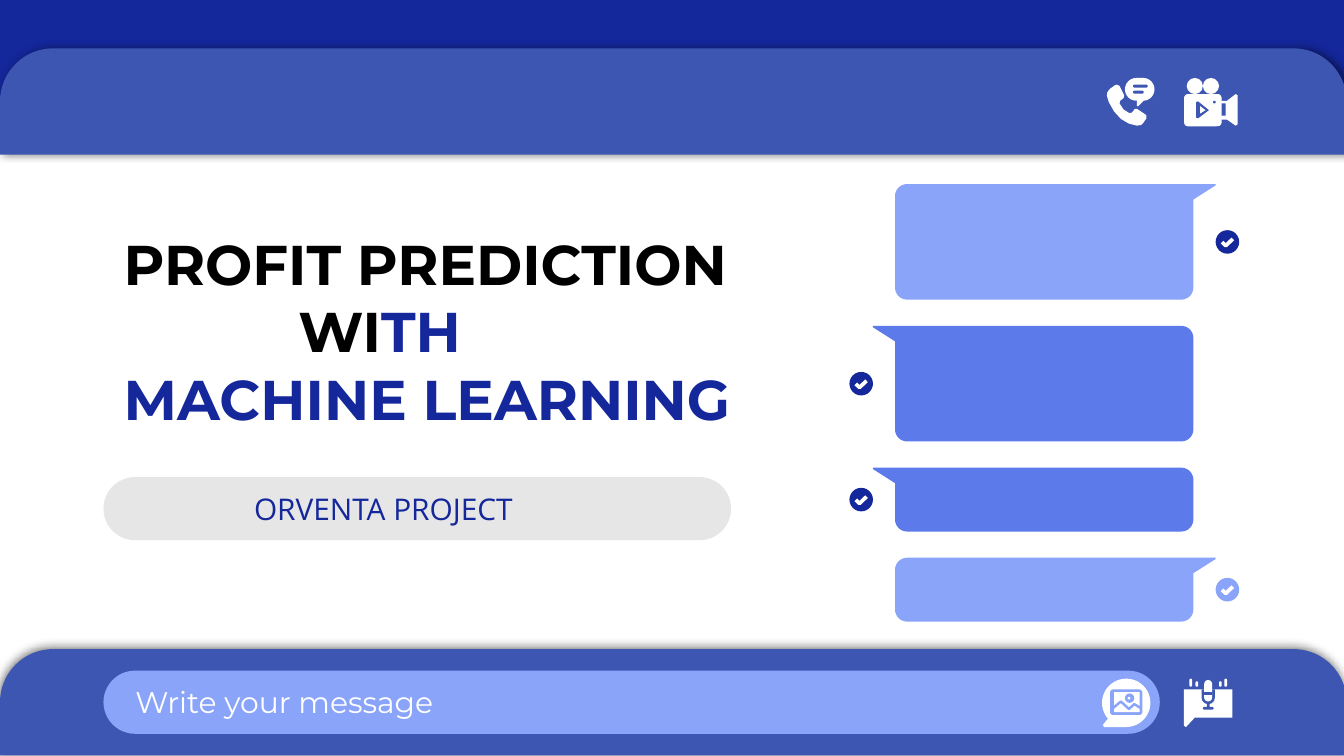
from itertools import accumulate
from math import cos, pi, sin

from lxml.etree import SubElement
from pptx import Presentation
from pptx.dml.color import RGBColor
from pptx.enum.shapes import MSO_SHAPE
from pptx.enum.text import MSO_ANCHOR, MSO_AUTO_SIZE, PP_ALIGN
from pptx.oxml.ns import qn
from pptx.util import Inches, Pt

THEME = {
    "navy": "14279B", "band": "3D56B2", "blue": "5C7AEA", "light": "8AA4F9",
    "grey": "E6E6E6", "white": "FFFFFF", "black": "000000",
    "title": 30, "body": 16, "head_font": "Montserrat", "body_font": "Open Sans",
}

# The slide is a grid of 100 columns by 56.25 rows of square cells.
CELL = Inches(0.1)
COLUMNS, ROWS = 100, 56.25

presentation = Presentation()
presentation.slide_width = int(COLUMNS * CELL)
presentation.slide_height = int(ROWS * CELL)
slide = presentation.slides.add_slide(presentation.slide_layouts[0])
shapes = slide.shapes


def preset(kind, box, colour, *adjustments):
    """Add a plain filled preset shape; box is in grid cells."""
    shape = shapes.add_shape(kind, *(int(v * CELL) for v in box))
    shape.shadow.inherit = False
    shape.fill.solid()
    shape.fill.fore_color.rgb = RGBColor.from_string(THEME[colour])
    shape.line.fill.background()
    for index, value in enumerate(adjustments):
        shape.adjustments[index] = value
    return shape


def outline(points, colour, stroke=None):
    """Add a filled polygon, or an open line when a stroke width is given."""
    start, *rest = [(x * CELL, y * CELL) for x, y in points]
    builder = shapes.build_freeform(*start)
    builder.add_line_segments(rest, close=stroke is None)
    shape = builder.convert_to_shape()
    shape.shadow.inherit = False
    painted, empty = (shape.line.fill, shape.fill) if stroke else (shape.fill, shape.line.fill)
    painted.solid()
    painted.fore_color.rgb = RGBColor.from_string(THEME[colour])
    empty.background()
    if stroke:
        shape.line.width = Pt(stroke)


RECT, OVAL = MSO_SHAPE.RECTANGLE, MSO_SHAPE.OVAL
ROUND, ROUND_TOP = MSO_SHAPE.ROUNDED_RECTANGLE, MSO_SHAPE.ROUND_2_SAME_RECTANGLE

# Chat window frame
preset(RECT, (0, -0.1, 100.2, 10.2), "navy")
for top, shadow_angle in ((3.6, 0), (48.3, 237)):
    bar = preset(ROUND_TOP, (0, top, 100.2, 7.9), "band", 0.5, 0)
    effects = bar.element.spPr.find(qn("a:effectLst"))
    shadow = SubElement(effects, qn("a:outerShdw"), blurRad=str(Pt(4.5)),
                        dist=str(Pt(1.5)), dir=str(shadow_angle * 60000),
                        algn="bl", rotWithShape="0")
    shadow_colour = SubElement(shadow, qn("a:srgbClr"), val=THEME["black"])
    SubElement(shadow_colour, qn("a:alpha"), val="50000")
preset(ROUND, (7.7, 49.9, 78.6, 4.7), "light", 0.5)
preset(ROUND, (7.7, 35.5, 46.7, 4.7), "grey", 0.5)

# Call icon
outline([(83.1, 6.3), (82.95, 6.35), (82.6, 6.6), (82.4, 6.85), (82.35, 7.1),
         (82.5, 7.6), (82.9, 8.3), (83.4, 8.85), (84, 9.2), (84.6, 9.35),
         (84.9, 9.3), (85.1, 9.1), (85.3, 8.8), (85.3, 8.6), (85.2, 8.5),
         (84.6, 8.1), (84.45, 8.1), (84.2, 8.4), (84, 8.4), (83.6, 8.15),
         (83.3, 7.7), (83.35, 7.5), (83.6, 7.3), (83.65, 7.1), (83.3, 6.4)], "white")
preset(ROUND, (83.7, 5.8, 2.2, 1.7), "white", 0.5)
outline([(84.6, 7.4), (84.6, 7.9), (84.7, 7.9), (85.2, 7.4)], "white")
for top, width in ((6.3, 1.1), (6.75, 0.8)):
    preset(ROUND, (84.3, top, width, 0.22), "band", 0.5)

# Video icon
for left in (88.3, 89.5):
    preset(OVAL, (left, 5.8, 1.2, 1.2), "white")
preset(ROUND, (88.1, 7, 2.8, 2.4), "white", 0.12)
outline([(90.8, 7.5), (91.3, 7.5), (91.95, 7), (92.1, 7.1), (92.1, 9.25),
         (91.95, 9.35), (91.3, 8.9), (90.8, 8.9)], "white")
preset(RECT, (90.9, 7.7, 0.3, 0.9), "band")
preset(OVAL, (90.25, 7.5, 0.2, 0.2), "band")
outline([(89, 7.6), (89.15, 7.55), (89.95, 8.2), (89.15, 8.8), (89, 8.75)], "band")
outline([(89.3, 7.9), (89.7, 8.2), (89.3, 8.45)], "white")

# Voice message icon
outline([(88.1, 51.3), (91.7, 51.3), (91.7, 53.4), (88.9, 53.4),
         (88.25, 54.1), (88.1, 54)], "white")
for left, top, height in ((88.5, 50.5, 0.6), (88.95, 50.7, 0.4),
                          (90.7, 50.7, 0.4), (91.1, 50.5, 0.6)):
    preset(ROUND, (left, top, 0.2, height), "white", 0.5)
preset(ROUND_TOP, (89.4, 51.3, 1, 1.1), "band", 0, 0.5)
preset(RECT, (89.8, 52.3, 0.2, 0.4), "band")
preset(ROUND, (89.5, 52.6, 0.8, 0.2), "band", 0.5)
preset(ROUND, (89.6, 50.6, 0.6, 1.6), "white", 0.5)
preset(RECT, (89.6, 51.5, 0.6, 0.2), "band")

# Image attachment icon
preset(OVAL, (82, 50.5, 3.6, 3.6), "white")
outline([(82.5, 53.4), (82.05, 53.95), (82.15, 54.1), (83.8, 54.1)], "white")
preset(ROUND, (82.6, 51.3, 2.4, 1.9), "light", 0.12)
preset(RECT, (82.9, 51.5, 1.9, 1.5), "white")
preset(OVAL, (83.7, 51.6, 0.7, 0.7), "light")
preset(OVAL, (83.9, 51.85, 0.2, 0.2), "white")
outline([(82.8, 52.7), (83.4, 52.2), (84, 52.75), (84.4, 52.4), (84.9, 52.7)],
        "light", 1.3)

# Chat bubbles: a left bubble mirrors a right one about the column's centre
LEFT, RIGHT, RADIUS, GAP, BADGE = 66.6, 88.8, 0.9, 1.95, 1.75
TAIL_WIDTH, TAIL_HEIGHT = 1.65, 1.15
messages = [(8.6, "right", "light", "navy"), (8.6, "left", "blue", "navy"),
            (4.75, "left", "blue", "navy"), (4.75, "right", "light", "light")]
tops = accumulate((message[0] + GAP for message in messages), initial=13.7)
for top, (height, side, bubble_colour, badge_colour) in zip(tops, messages):
    bottom = top + height
    corners = [(RIGHT - RADIUS, bottom - RADIUS, 0),
               (LEFT + RADIUS, bottom - RADIUS, 1),
               (LEFT + RADIUS, top + RADIUS, 2)]
    bubble = [(RIGHT + TAIL_WIDTH, top), (RIGHT + TAIL_WIDTH, top + 0.1),
              (RIGHT, top + TAIL_HEIGHT)]
    for x, y, quarter in corners:
        for step in range(9):
            angle = (quarter + step / 8) * pi / 2
            bubble.append((x + RADIUS * cos(angle), y + RADIUS * sin(angle)))
    badge_x, badge_y = RIGHT + TAIL_WIDTH + BADGE / 2, top + height / 2
    if side == "left":
        bubble = [(LEFT + RIGHT - x, y) for x, y in bubble]
        badge_x = LEFT + RIGHT - badge_x
    outline(bubble, bubble_colour)
    preset(OVAL, (badge_x - BADGE / 2, badge_y - BADGE / 2, BADGE, BADGE), badge_colour)
    tick = [(-0.4, 0.02), (-0.12, 0.28), (0.4, -0.22)]
    outline([(badge_x + x, badge_y + y) for x, y in tick], "white", 2)

# Text: placeholder or box, place, inset, font, size, bold, paragraphs (indent, runs)
title, subtitle = shapes.title, slide.placeholders[1]
prompt = shapes.add_textbox(0, 0, 0, 0)
texts = [
    (subtitle, (7.9, 35.5, 46.3, 5.4), 1, "body_font", "body", False,
     [(10, [("ORVENTA PROJECT", "navy")])]),
    (prompt, (9.1, 49.9, 37.3, 4.7), 1, "head_font", "body", False,
     [(0, [("Write your message", "white")])]),
    (title, (8.2, 16.6, 58.2, 18.5), 0.5, "head_font", "title", True,
     [(0, [("PROFIT PREDICTION", "black")]),
      (13, [("WI", "black"), ("TH", "navy")]),
      (0, [("MACHINE LEARNING", "navy")])]),
]
for holder, box, inset, font, size, bold, paragraphs in texts:
    holder.left, holder.top, holder.width, holder.height = (int(v * CELL) for v in box)
    holder.element.getparent().append(holder.element)  # bring to front
    frame = holder.text_frame
    frame.word_wrap = True
    frame.auto_size = MSO_AUTO_SIZE.NONE
    frame.vertical_anchor = MSO_ANCHOR.TOP
    frame.margin_left = frame.margin_right = CELL
    frame.margin_top = frame.margin_bottom = int(inset * CELL)
    for index, (indent, runs) in enumerate(paragraphs):
        paragraph = frame.add_paragraph() if index else frame.paragraphs[0]
        paragraph.alignment = PP_ALIGN.LEFT
        paragraph.space_before = Pt(0)
        paragraph._p.get_or_add_pPr().set("marL", str(int(indent * CELL)))
        for wording, colour in runs:
            run = paragraph.add_run()
            run.text = wording
            run.font.name = THEME[font]
            run.font.size = Pt(THEME[size])
            run.font.bold = bold
            run.font.color.rgb = RGBColor.from_string(THEME[colour])

presentation.save("out.pptx")
